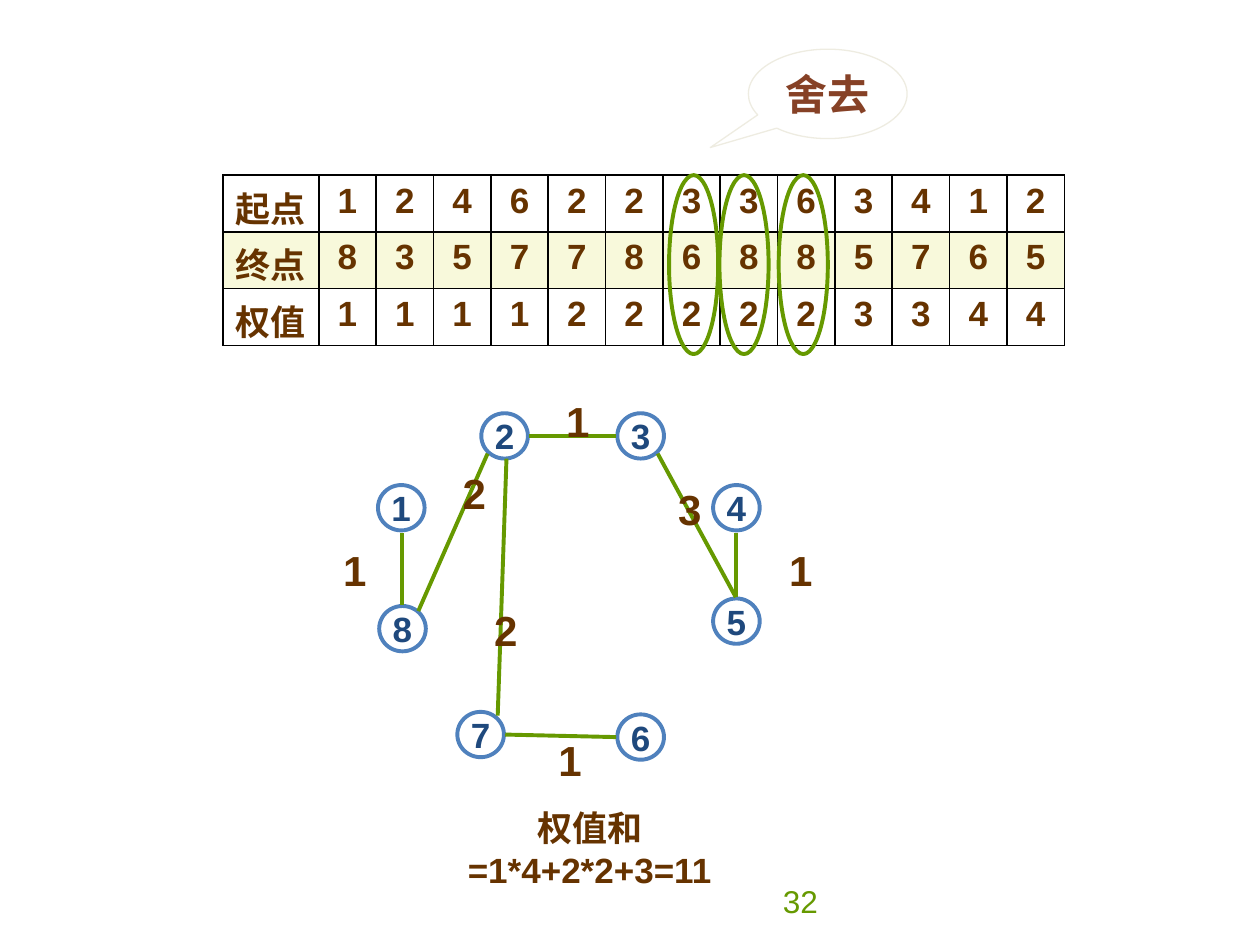
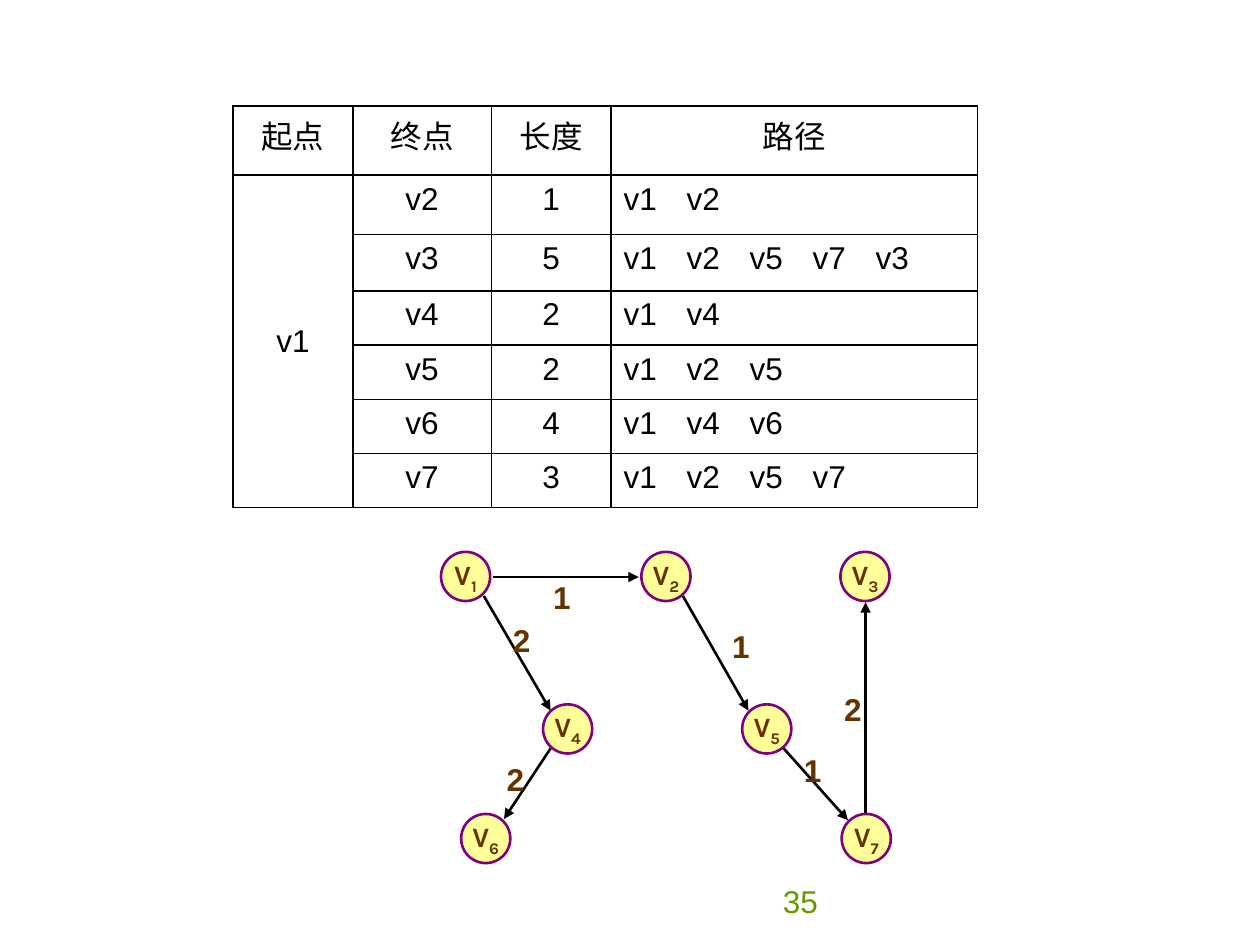
import dataclasses

import pptx
import pptx.dml.color
import pptx.enum.shapes
import pptx.enum.text
import pptx.oxml
import pptx.oxml.ns
import pptx.util

Inches = pptx.util.Inches
Shape = pptx.enum.shapes.MSO_SHAPE
Align = pptx.enum.text.PP_ALIGN
Anchor = pptx.enum.text.MSO_ANCHOR
Fit = pptx.enum.text.MSO_AUTO_SIZE


@dataclasses.dataclass(frozen=True)
class Theme:
    font: str = "Arial"
    vfont: str = "Karla"
    white: str = "FFFFFF"
    black: str = "000000"
    brown: str = "663300"
    green: str = "669900"
    blue: str = "4F81BD"
    navy: str = "1F497D"
    rust: str = "864126"
    cream: str = "F8F9DB"
    stone: str = "EEECE1"
    yellow: str = "FFFF99"
    purple: str = "800080"
    small: int = 16
    body: int = 18
    large: int = 20
    huge: int = 24
    thin: float = 0.75
    grid: float = 1
    arrow: float = 1.5
    thick: float = 2.25


T = Theme()


def rgb(code):
    return pptx.dml.color.RGBColor.from_string(code)


def style(par, size, color, bold=True, font=T.font, align=Align.CENTER):
    par.alignment = align
    for run in par.runs:
        run.font.name = font
        run.font.size = pptx.util.Pt(size)
        run.font.bold = bold
        run.font.color.rgb = rgb(color)


def paint(item, color):
    if color:
        item.fill.solid()
        item.fill.fore_color.rgb = rgb(color)
    else:
        item.fill.background()


def stroke(item, color, width):
    item.line.color.rgb = rgb(color)
    item.line.width = pptx.util.Pt(width)


def add_form(slide, kind, box, fill, line, width):
    form = slide.shapes.add_shape(kind, *map(Inches, box))
    form.shadow.inherit = False
    paint(form, fill)
    stroke(form, line, width)
    return form


def add_text(slide, text, box, size, color=T.brown, bold=True):
    """Add a centred, unwrapped text box that fits its text."""
    frame = slide.shapes.add_textbox(*map(Inches, box)).text_frame
    frame.word_wrap = False
    frame.auto_size = Fit.SHAPE_TO_FIT_TEXT
    frame.text = text
    style(frame.paragraphs[0], size, color, bold)


def add_number(slide, text):
    box = map(Inches, (3.42, 6.95, 3.17, 0.4))
    frame = slide.shapes.add_textbox(*box).text_frame
    frame.word_wrap = True
    frame.vertical_anchor = Anchor.MIDDLE
    frame.text = text
    style(frame.paragraphs[0], T.body, T.green, False, align=Align.RIGHT)


def add_node(slide, text, box, fill, line, width):
    """Add a round node and return its paragraph for styling."""
    frame = add_form(slide, Shape.OVAL, box, fill, line, width).text_frame
    frame.word_wrap = False
    frame.vertical_anchor = Anchor.MIDDLE
    frame.text = text
    return frame.paragraphs[0]


def add_edge(slide, ends, color, width, arrow=False):
    edge = slide.shapes.add_connector(
        pptx.enum.shapes.MSO_CONNECTOR.STRAIGHT, *map(Inches, ends))
    stroke(edge, color, width)
    if arrow:
        add_child(edge.line._get_or_add_ln(), '<a:tailEnd {} type="triangle"/>')
    add_child(edge._element.spPr, "<a:effectLst {}/>")


def add_child(parent, xml):
    names = pptx.oxml.ns.nsdecls("a")
    parent.append(pptx.oxml.parse_xml(xml.format(names)))


def add_grid(slide, spot, cols, rows):
    size = (sum(cols), sum(rows))
    frame = slide.shapes.add_table(
        len(rows), len(cols), *map(Inches, spot + size))
    table = frame.table
    table.first_row = table.horz_banding = False
    for col, width in zip(table.columns, cols):
        col.width = Inches(width)
    for row, height in zip(table.rows, rows):
        row.height = Inches(height)
    return table


def add_rim(cell):
    """Draw all four borders; they must come before the fill."""
    props = cell._tc.get_or_add_tcPr()
    for side in ("lnL", "lnR", "lnT", "lnB"):
        add_child(props, f'<a:{side} {{}} w="{int(T.grid * 12700)}"><a:solidFill>'
                  f'<a:srgbClr val="{T.black}"/></a:solidFill></a:{side}>')


def fill_cell(cell, text, size, color, bold, fill, align=Align.CENTER):
    add_rim(cell)
    paint(cell, fill)
    cell.text_frame.text = text
    style(cell.text_frame.paragraphs[0], size, color, bold, align=align)


def add_tabs(par, gap, count):
    stops = "".join(f'<a:tab pos="{Inches(gap * n)}" algn="l"/>'
                    for n in range(1, count + 1))
    add_child(par._p.get_or_add_pPr(), f"<a:tabLst {{}}>{stops}</a:tabLst>")


def build_tree(slide):
    add_number(slide, "32")

    data = (("起点", "1246223363412"),
            ("终点", "8357786885765"),
            ("权值", "1111222223344"))
    head, total, count = 0.76, 6.68, len(data[0][1])
    cols = [head] + [(total - head) / count] * count
    table = add_grid(slide, (1.77, 1.39), cols, [0.45] * len(data))
    for r, (name, digits) in enumerate(data):
        for c, text in enumerate([name, *digits]):
            fill_cell(table.cell(r, c), text, T.large, T.brown, True,
                      T.cream if r == 1 else None)

    nodes = {"3": (4.9, 3.28), "5": (5.66, 4.75), "2": (3.82, 3.28),
             "1": (3, 3.85), "8": (3.01, 4.81), "4": (5.66, 3.85),
             "7": (3.63, 5.65), "6": (4.9, 5.67)}
    for name, spot in nodes.items():
        par = add_node(slide, name, spot + (0.37, 0.36),
                       T.white, T.blue, T.thick)
        style(par, T.large, T.navy)

    for ends in ((4.89, 3.46, 4.2, 3.46), (5.84, 4.74, 5.84, 4.23),
                 (3.95, 5.68, 4.02, 3.64), (3.19, 4.8, 3.19, 4.23),
                 (4.01, 5.83, 4.89, 5.85), (3.32, 4.85, 3.87, 3.6),
                 (5.84, 4.74, 5.22, 3.6)):
        add_edge(slide, ends, T.green, T.thick)

    for text, x, y in (("1", 4.39, 3.09), ("1", 6.16, 4.27),
                       ("1", 4.33, 5.78), ("1", 2.62, 4.27),
                       ("2", 3.57, 3.66), ("3", 5.28, 3.79),
                       ("2", 3.82, 4.75)):
        add_text(slide, text, (x, y, 0.39, 0.5), T.huge)

    for x in (5.31, 5.71, 6.18):
        add_form(slide, Shape.OVAL, (x, 1.39, 0.39, 1.42),
                 None, T.green, T.thick)

    note = add_form(slide, Shape.OVAL_CALLOUT, (5.94, 0.39, 1.26, 0.71),
                    T.white, T.stone, T.thin)
    note.adjustments[0], note.adjustments[1] = -0.74, 0.6
    note.text_frame.vertical_anchor = Anchor.TOP
    note.text_frame.text = "舍去"
    style(note.text_frame.paragraphs[0], T.huge, T.rust)

    add_text(slide, "权值和\v=1*4+2*2+3=11", (3.19, 6.35, 2.98, 0.43), T.large)


def build_paths(slide):
    add_number(slide, "35")

    data = (("起点", "终点", "长度", "路径"),
            ("v1", "v2", "1", "v1\tv2"),
            ("", "v3", "5", "v1\tv2\tv5\tv7\tv3"),
            ("", "v4", "2", "v1\tv4"),
            ("", "v5", "2", "v1\tv2\tv5"),
            ("", "v6", "4", "v1\tv4\tv6"),
            ("", "v7", "3", "v1\tv2\tv5\tv7"))
    table = add_grid(slide, (1.85, 0.84), (0.95, 1.1, 0.95, 2.91),
                     [0.55, 0.47, 0.45] + [0.43] * 4)
    for r, row in enumerate(data):
        for c, text in enumerate(row):
            cell = table.cell(r, c)
            route = r > 0 and c == 3
            if route:
                add_tabs(cell.text_frame.paragraphs[0], 0.4, 4)
            fill_cell(cell, text, T.body, T.black, False, T.white,
                      Align.LEFT if route else Align.CENTER)
    start = table.cell(1, 0)
    start.merge(table.cell(len(data) - 1, 0))
    start.vertical_anchor = Anchor.MIDDLE

    spots = ((3.5, 4.38), (5.09, 4.38), (6.67, 4.38), (4.31, 5.59),
             (5.89, 5.59), (3.66, 6.46), (6.68, 6.46))
    for n, spot in enumerate(spots, 1):
        par = add_node(slide, "V", spot + (0.39, 0.39),
                       T.yellow, T.purple, T.arrow)
        sub = par.add_run()
        sub.text = str(n)
        style(par, T.small, T.brown, font=T.vfont)
        sub.font._element.set("baseline", "-25000")

    for ends in ((3.84, 4.73, 4.37, 5.64), (3.91, 4.58, 5.07, 4.58),
                 (5.42, 4.73, 5.94, 5.64), (4.37, 5.94, 4, 6.5),
                 (6.22, 5.94, 6.73, 6.51), (6.87, 6.45, 6.87, 4.78)):
        add_edge(slide, ends, T.black, T.arrow, arrow=True)

    for text, x, y in (("1", 6.28, 5.91), ("1", 5.71, 4.93),
                       ("1", 4.29, 4.54), ("2", 3.92, 5.98),
                       ("2", 3.97, 4.88), ("2", 6.6, 5.43)):
        add_text(slide, text, (x, y, 0.34, 0.41), T.body)


def main():
    deck = pptx.Presentation()
    deck.slide_width, deck.slide_height = Inches(10), Inches(7.5)
    blank = deck.slide_layouts[6]
    for build in (build_tree, build_paths):
        build(deck.slides.add_slide(blank))
    deck.save("out.pptx")


if __name__ == "__main__":
    main()
